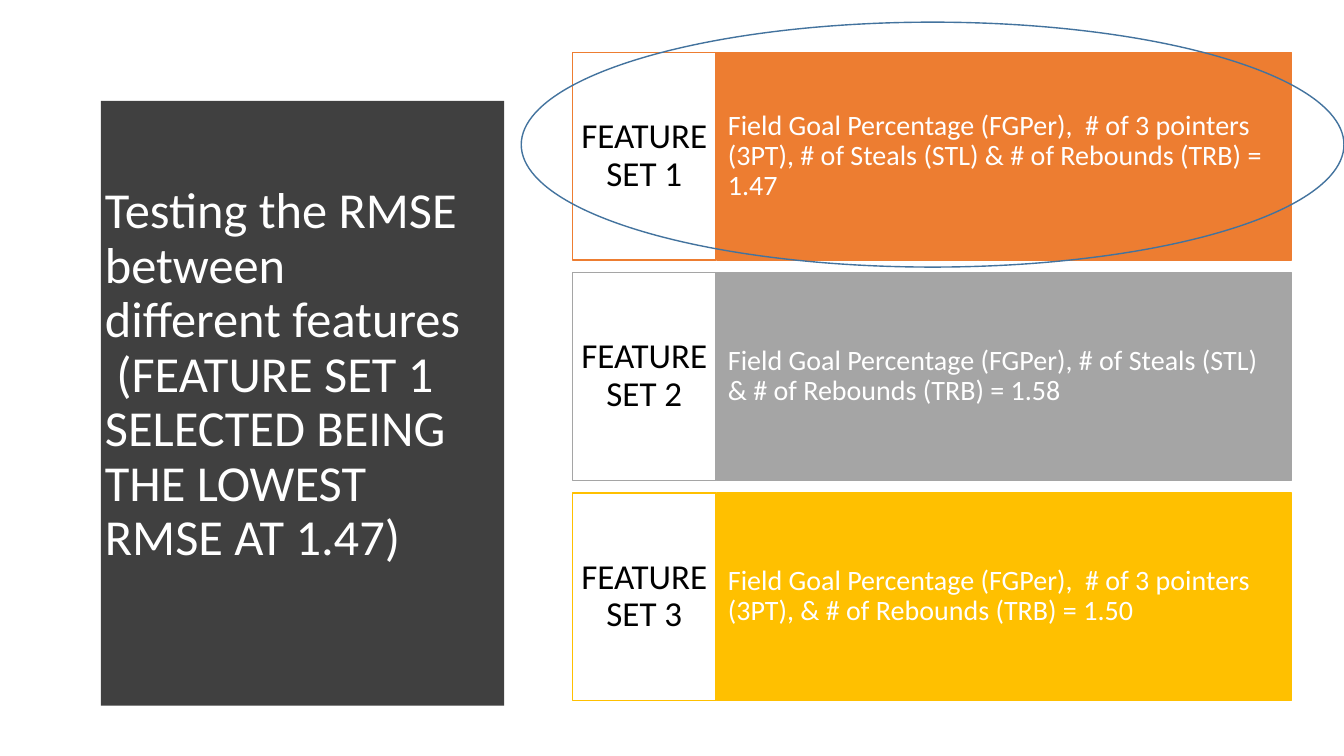
from dataclasses import dataclass

from pptx import Presentation
from pptx.dml.color import RGBColor
from pptx.enum.shapes import MSO_SHAPE
from pptx.enum.text import MSO_ANCHOR, MSO_AUTO_SIZE, PP_ALIGN
from pptx.shapes.autoshape import Shape
from pptx.slide import Slide
from pptx.util import Inches, Pt

RECTANGLE = MSO_SHAPE.RECTANGLE
OVAL = MSO_SHAPE.OVAL
MIDDLE = MSO_ANCHOR.MIDDLE
NO_AUTOFIT = MSO_AUTO_SIZE.NONE
LEFT = PP_ALIGN.LEFT
CENTER = PP_ALIGN.CENTER

COLORS = {
    "panel": "404040",
    "white": "FFFFFF",
    "black": "000000",
    "orange": "ED7D31",
    "gray": "A5A5A5",
    "gold": "FFC000",
    "highlight": "43739E",
}
FONT = "Calibri"

ROW_TOP, ROW_PITCH, ROW_HEIGHT = 0.52, 2.185, 2.06
PANEL_LEFT, PANEL_EDGE, PANEL_BULGE = 0.53, 5.08, 0.24
PANEL_TOP, PANEL_HEIGHT, CURVE_STEPS = 0.52, 6.44, 48


@dataclass(frozen=True)
class Box:
    left: float
    top: float
    width: float
    height: float


@dataclass(frozen=True)
class TextStyle:
    size: int
    color: str
    align: PP_ALIGN
    inset_x: float
    inset_y: float


@dataclass(frozen=True)
class FeatureSet:
    label: str
    features: str
    color: str


TITLE = (
    "Testing the RMSE between different features\v"
    " (FEATURE SET 1 SELECTED BEING THE LOWEST RMSE AT 1.47)"
)
TITLE_STYLE = TextStyle(36, "white", LEFT, 0.1, 0.05)
LABEL_STYLE = TextStyle(25, "black", CENTER, 0.08, 0.2)
FEATURES_STYLE = TextStyle(20, "white", LEFT, 0.11, 0.52)

FEATURE_SETS = [
    FeatureSet(
        "FEATURE SET 1",
        "Field Goal Percentage (FGPer),  # of 3 pointers (3PT), "
        "# of Steals (STL) & # of Rebounds (TRB) = 1.47",
        "orange",
    ),
    FeatureSet(
        "FEATURE SET 2",
        "Field Goal Percentage (FGPer), # of Steals (STL) "
        "& # of Rebounds (TRB) = 1.58",
        "gray",
    ),
    FeatureSet(
        "FEATURE SET 3",
        "Field Goal Percentage (FGPer),  # of 3 pointers (3PT), "
        "& # of Rebounds (TRB) = 1.50",
        "gold",
    ),
]


def rgb(name: str) -> RGBColor:
    return RGBColor.from_string(COLORS[name])


def write_text(holder: Shape, text: str, style: TextStyle) -> None:
    frame = holder.text_frame
    frame.text = text
    frame_format = {
        "word_wrap": True,
        "auto_size": NO_AUTOFIT,
        "vertical_anchor": MIDDLE,
        "margin_left": Inches(style.inset_x),
        "margin_right": Inches(style.inset_x),
        "margin_top": Inches(style.inset_y),
        "margin_bottom": Inches(style.inset_y),
    }
    for attribute, value in frame_format.items():
        setattr(frame, attribute, value)
    paragraph = frame.paragraphs[0]
    paragraph.alignment = style.align
    paragraph.line_spacing = 0.9
    for run in paragraph.runs:
        run.font.name = FONT
        run.font.size = Pt(style.size)
        run.font.color.rgb = rgb(style.color)


def add_outlined(
    slide: Slide, kind: MSO_SHAPE, box: Box, line: str, fill: str | None = None
) -> Shape:
    outlined = slide.shapes.add_shape(
        kind,
        Inches(box.left),
        Inches(box.top),
        Inches(box.width),
        Inches(box.height),
    )
    outlined.shadow.inherit = False
    if fill is None:
        outlined.fill.background()
    else:
        outlined.fill.solid()
        outlined.fill.fore_color.rgb = rgb(fill)
    outlined.line.color.rgb = rgb(line)
    outlined.line.width = Pt(1)
    return outlined


def add_panel(slide: Slide) -> None:
    curve = []
    for step in range(CURVE_STEPS + 1):
        share = step / CURVE_STEPS
        bulge = PANEL_BULGE * (1 - (2 * share - 1) ** 2)
        curve.append((PANEL_EDGE + bulge, PANEL_TOP + PANEL_HEIGHT * share))
    outline = slide.shapes.build_freeform(
        PANEL_LEFT, PANEL_TOP, scale=float(Inches(1))
    )
    outline.add_line_segments(
        [*curve, (PANEL_LEFT, PANEL_TOP + PANEL_HEIGHT)], close=True
    )
    panel = outline.convert_to_shape()
    panel.shadow.inherit = False
    panel.fill.solid()
    panel.fill.fore_color.rgb = rgb("panel")
    panel.line.fill.background()


def place_title(slide: Slide) -> None:
    title = slide.shapes.title
    bounds = {"left": 0.94, "top": 1.11, "width": 3.74, "height": 5.24}
    for attribute, value in bounds.items():
        setattr(title, attribute, Inches(value))
    write_text(title, TITLE, TITLE_STYLE)
    title.element.getparent().append(title.element)


def add_feature_set(slide: Slide, feature_set: FeatureSet, top: float) -> None:
    features = add_outlined(
        slide,
        RECTANGLE,
        Box(7.11, top, 5.7, ROW_HEIGHT),
        feature_set.color,
        feature_set.color,
    )
    write_text(features, feature_set.features, FEATURES_STYLE)
    label = add_outlined(
        slide,
        RECTANGLE,
        Box(5.68, top, 1.42, ROW_HEIGHT),
        feature_set.color,
        "white",
    )
    write_text(label, feature_set.label, LABEL_STYLE)


def main() -> None:
    presentation = Presentation()
    presentation.slide_width = Inches(13.33)
    presentation.slide_height = Inches(7.5)
    slide = presentation.slides.add_slide(presentation.slide_layouts[5])
    add_panel(slide)
    place_title(slide)
    for index, feature_set in enumerate(FEATURE_SETS):
        add_feature_set(slide, feature_set, ROW_TOP + index * ROW_PITCH)
    add_outlined(slide, OVAL, Box(5.17, 0.22, 8.16, 2.43), "highlight")
    presentation.save("out.pptx")


if __name__ == "__main__":
    main()
